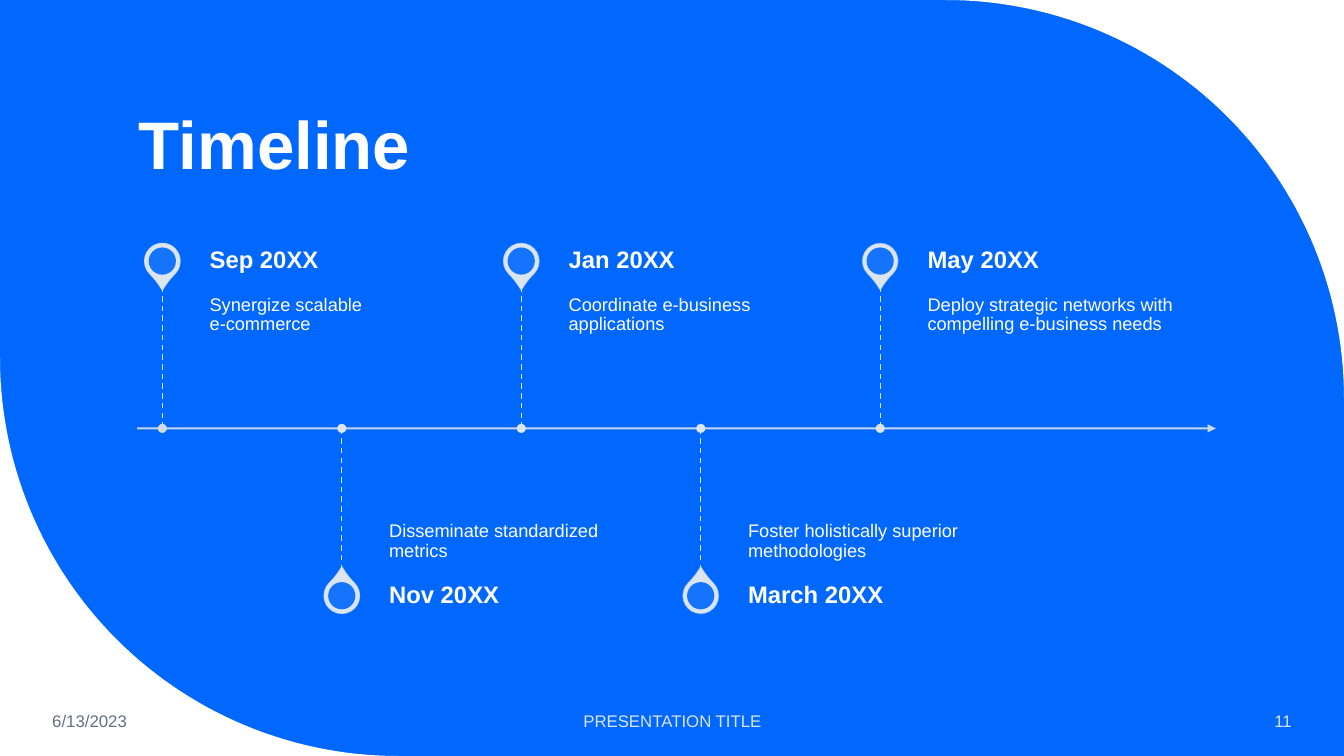
from math import cos, pi, sin

from lxml.etree import SubElement
from pptx import Presentation
from pptx.dml.color import RGBColor
from pptx.enum.dml import MSO_LINE as Dash
from pptx.enum.shapes import MSO_CONNECTOR as Connector, MSO_SHAPE as Shape
from pptx.enum.text import MSO_ANCHOR as Anchor, PP_ALIGN as Align
from pptx.oxml.ns import qn
from pptx.util import Inches, Pt

COLORS = {"blue": "0068FF", "white": "FFFFFF", "pale": "DAE5EF",
          "first_dot": "D0DBE4", "slate": "637183"}
FONTS = {
    "title": {"size": Pt(48), "bold": True},
    "date": {"size": Pt(17), "bold": True},
    "detail": {"size": Pt(13), "bold": False},
    "footer": {"size": Pt(12), "bold": False},
}
EVENTS = [
    ("Sep 20XX", "Synergize scalable\ne-commerce"),
    ("Nov 20XX", "Disseminate standardized metrics"),
    ("Jan 20XX", "Coordinate e-business applications"),
    ("March 20XX", "Foster holistically superior methodologies"),
    ("May 20XX", "Deploy strategic networks with compelling e-business needs"),
]
SIDES = ("margin_left", "margin_top", "margin_right", "margin_bottom")


def rgb(name):
    """Return the named colour."""
    return RGBColor.from_string(COLORS[name])


def set_opacity(fill_parent, percent):
    """Make the solid fill under the given element partly transparent."""
    color = fill_parent.find(qn("a:solidFill"))[0]
    SubElement(color, qn("a:alpha"), val=str(percent * 1000))


def add_text(page, box, text, style, color="white", align=Align.LEFT,
             anchor=Anchor.MIDDLE, insets=(0.1, 0.05, 0.1, 0.05), spacing=0.9):
    """Place one styled paragraph in the box."""
    frame = page.shapes.add_textbox(*map(Inches, box)).text_frame
    layout = {"word_wrap": True, "vertical_anchor": anchor}
    layout.update(zip(SIDES, map(Inches, insets)))
    for name, value in layout.items():
        setattr(frame, name, value)
    para = frame.paragraphs[0]
    para.text = text
    para.alignment = align
    para.line_spacing = spacing
    for span in para.runs:
        for name, value in {"name": "Arial", **FONTS[style]}.items():
            setattr(span.font, name, value)
        span.font.color.rgb = rgb(color)
    for line_break in para._p.findall(qn("a:br")):
        size = round(FONTS[style]["size"].pt * 100)
        SubElement(line_break, qn("a:rPr"), sz=str(size))


def add_filled(page, kind, center_x, center_y, size, color):
    """Draw a square-sized preset shape around a centre point."""
    box = (center_x - size / 2, center_y - size / 2, size, size)
    shape = page.shapes.add_shape(kind, *map(Inches, box))
    shape.shadow.inherit = False
    shape.fill.solid()
    shape.fill.fore_color.rgb = rgb(color)
    shape.line.fill.background()
    return shape


def add_line(page, start, end, width, dash=Dash.SOLID):
    """Draw a pale straight line and return its outline element."""
    line = page.shapes.add_connector(Connector.STRAIGHT, *map(Inches, start + end))
    line.line.color.rgb = rgb("pale")
    line.line.width = Pt(width)
    line.line.dash_style = dash
    SubElement(line._element.spPr, qn("a:effectLst"))
    return line._element.spPr.find(qn("a:ln"))


def add_corner(page, corner, center, radius, start_angle, steps=60):
    """Fill the area between a slide corner and a quarter circle."""
    angles = [start_angle + pi / 2 * step / steps for step in range(steps + 1)]
    arc = [(Inches(center[0] + radius * cos(angle)),
            Inches(center[1] + radius * sin(angle))) for angle in angles]
    builder = page.shapes.build_freeform(*map(Inches, corner))
    builder.add_line_segments(arc, close=True)
    shape = builder.convert_to_shape()
    shape.shadow.inherit = False
    shape.fill.solid()
    shape.fill.fore_color.rgb = rgb("white")
    shape.line.fill.background()


def add_background(page, width, height, radius=3.95):
    """Paint the blue page with two rounded white corners."""
    page.background.fill.solid()
    page.background.fill.fore_color.rgb = rgb("blue")
    add_corner(page, (width, 0), (width - radius, radius), radius, -pi / 2)
    add_corner(page, (0, height), (radius, height - radius), radius, pi / 2)


def add_pin(page, center_x, center_y, rotation, outline_opacity):
    """Draw a map pin with a blue eye."""
    drop = add_filled(page, Shape.TEAR, center_x, center_y, 0.35, "pale")
    drop.adjustments[0] = 1.15
    drop.rotation = rotation
    drop.line.color.rgb = rgb("pale")
    drop.line.width = Pt(1)
    set_opacity(drop._element.spPr.find(qn("a:ln")), outline_opacity)
    eye = add_filled(page, Shape.OVAL, center_x, center_y, 0.27, "blue")
    set_opacity(eye._element.spPr, 90)


def add_event(page, index, center_x, axis_y, event):
    """Place one event above or below the axis, in turn."""
    date, detail = event
    above = index % 2 == 0
    stem = 1.41
    tip_y = axis_y - stem if above else axis_y + stem
    pin_y = tip_y - 0.25 if above else tip_y + 0.25
    text_x = center_x + 0.47
    add_pin(page, center_x, pin_y, 135 if above else 315, 90 - 10 * index)
    add_text(page, (text_x, min(axis_y, tip_y), 2.53, stem), detail, "detail",
             anchor=Anchor.TOP if above else Anchor.BOTTOM,
             insets=(0, 0.09, 0.09, 0.14) if above else (0, 0.14, 0, 0.09))
    add_text(page, (text_x, pin_y - 0.25, 2.53, 0.5), date, "date",
             insets=(0, 0, 0.12, 0))
    add_line(page, (center_x, min(axis_y, tip_y)),
             (center_x, max(axis_y, tip_y)), 1, Dash.DASH)
    add_filled(page, Shape.OVAL, center_x, axis_y, 0.09,
               "pale" if index else "first_dot")


def add_timeline(page, left, axis_y, length):
    """Draw the axis arrow and its evenly spaced events."""
    axis = add_line(page, (left, axis_y), (left + length, axis_y), 1.5)
    set_opacity(axis, 90)
    SubElement(axis, qn("a:tailEnd"), type="triangle")
    for index, event in enumerate(EVENTS):
        add_event(page, index, left + 0.25 + 1.78 * index, axis_y, event)


def add_footer(page, top, height):
    """Write the date, the title and the page number."""
    parts = [
        (0.42, 1.86, "6/13/2023", "slate", Align.LEFT),
        (4.42, 4.5, "PRESENTATION TITLE", "pale", Align.CENTER),
        (11.1, 1.81, "11", "pale", Align.RIGHT),
    ]
    for left, width, text, color, align in parts:
        add_text(page, (left, top, width, height), text, "footer", color, align,
                 spacing=1.0)


def main():
    """Build and save the timeline slide."""
    deck = Presentation()
    deck.slide_width, deck.slide_height = Inches(13.33), Inches(7.5)
    page = deck.slides.add_slide(deck.slide_layouts[6])
    add_background(page, 13.33, 7.5)
    add_text(page, (1.28, 0.42, 10.69, 1.45), "Timeline", "title",
             anchor=Anchor.BOTTOM)
    add_timeline(page, 1.36, 4.25, 10.7)
    add_footer(page, 6.95, 0.4)
    deck.save("out.pptx")


if __name__ == "__main__":
    main()
